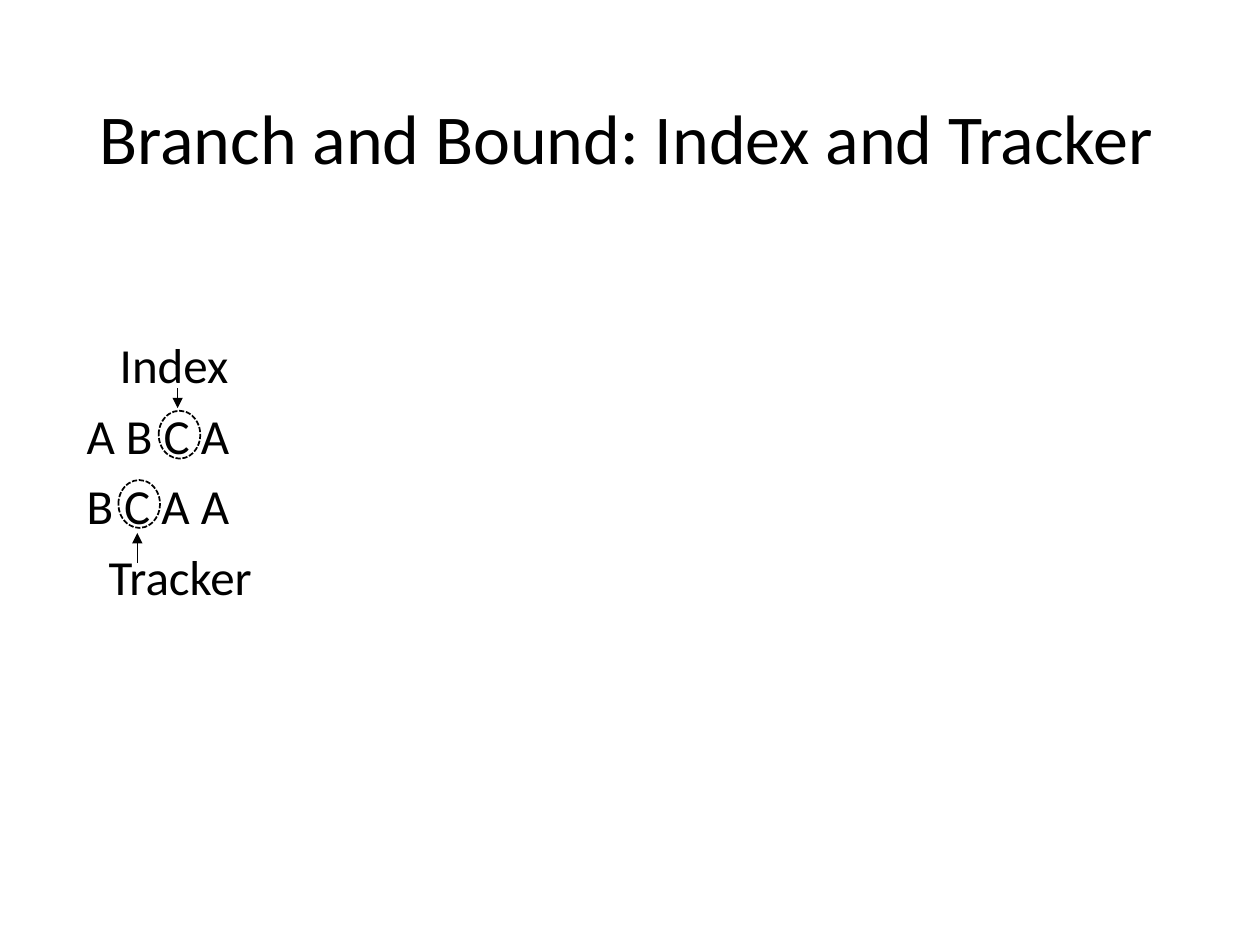
from dataclasses import dataclass

from lxml.etree import SubElement
from pptx import Presentation
from pptx.dml.color import RGBColor
from pptx.enum.dml import MSO_LINE_DASH_STYLE as DASH
from pptx.enum.shapes import MSO_CONNECTOR, MSO_SHAPE
from pptx.enum.text import MSO_ANCHOR
from pptx.oxml.ns import qn
from pptx.util import Inches, Pt


@dataclass(frozen=True)
class Theme:
    font: str = "Calibri"
    ink: RGBColor = RGBColor(0, 0, 0)
    title: int = 40
    body: int = 28
    arrow: float = 0.5
    ring: float = 1


THEME = Theme()
SPACE = 0.088


def add_text(s, box, lines, size, before=0, anchor=MSO_ANCHOR.TOP):
    tf = s.shapes.add_textbox(*map(Inches, box)).text_frame
    tf.word_wrap = True
    tf.vertical_anchor = anchor
    for i, (text, indent) in enumerate(lines):
        p = tf.paragraphs[0] if i == 0 else tf.add_paragraph()
        p.text = text
        p.line_spacing = 0.9
        p.space_before = Pt(before)
        p.font.name = THEME.font
        p.font.size = Pt(size)
        p.font.color.rgb = THEME.ink
        if indent:
            p._p.get_or_add_pPr().set("marL", str(Inches(indent)))


def add_arrow(s, x, start, end):
    c = s.shapes.add_connector(
        MSO_CONNECTOR.STRAIGHT, Inches(x), Inches(start), Inches(x), Inches(end))
    c.line.color.rgb = THEME.ink
    c.line.width = Pt(THEME.arrow)
    SubElement(c.line._get_or_add_ln(), qn("a:tailEnd"), type="triangle")
    SubElement(c._element.spPr, qn("a:effectLst"))


def add_ring(s, x, y):
    sp = s.shapes.add_shape(
        MSO_SHAPE.OVAL, Inches(x), Inches(y), Inches(0.33), Inches(0.38))
    sp.shadow.inherit = False
    sp.fill.background()
    sp.line.color.rgb = THEME.ink
    sp.line.width = Pt(THEME.ring)
    sp.line.dash_style = DASH.SQUARE_DOT


def main():
    prs = Presentation()
    prs.slide_width, prs.slide_height = Inches(10), Inches(7.5)
    s = prs.slides.add_slide(prs.slide_layouts[6])
    add_text(s, (0.69, 0.4, 8.62, 1.45),
             [("Branch and Bound: Index and Tracker", 0)],
             THEME.title, anchor=MSO_ANCHOR.MIDDLE)
    add_text(s, (0.5, 2.66, 1.69, 4.19),
             [("Index", 4 * SPACE), ("A B C A", SPACE),
              ("B C A A", SPACE), ("Tracker", 3 * SPACE)],
             THEME.body, before=10)
    for x, start, end, ring_top in ((1.41, 3.08, 3.24, 3.26),
                                    (1.09, 4.47, 4.23, 3.81)):
        add_arrow(s, x, start, end)
        add_ring(s, x - 0.15, ring_top)
    prs.save("out.pptx")


main()
